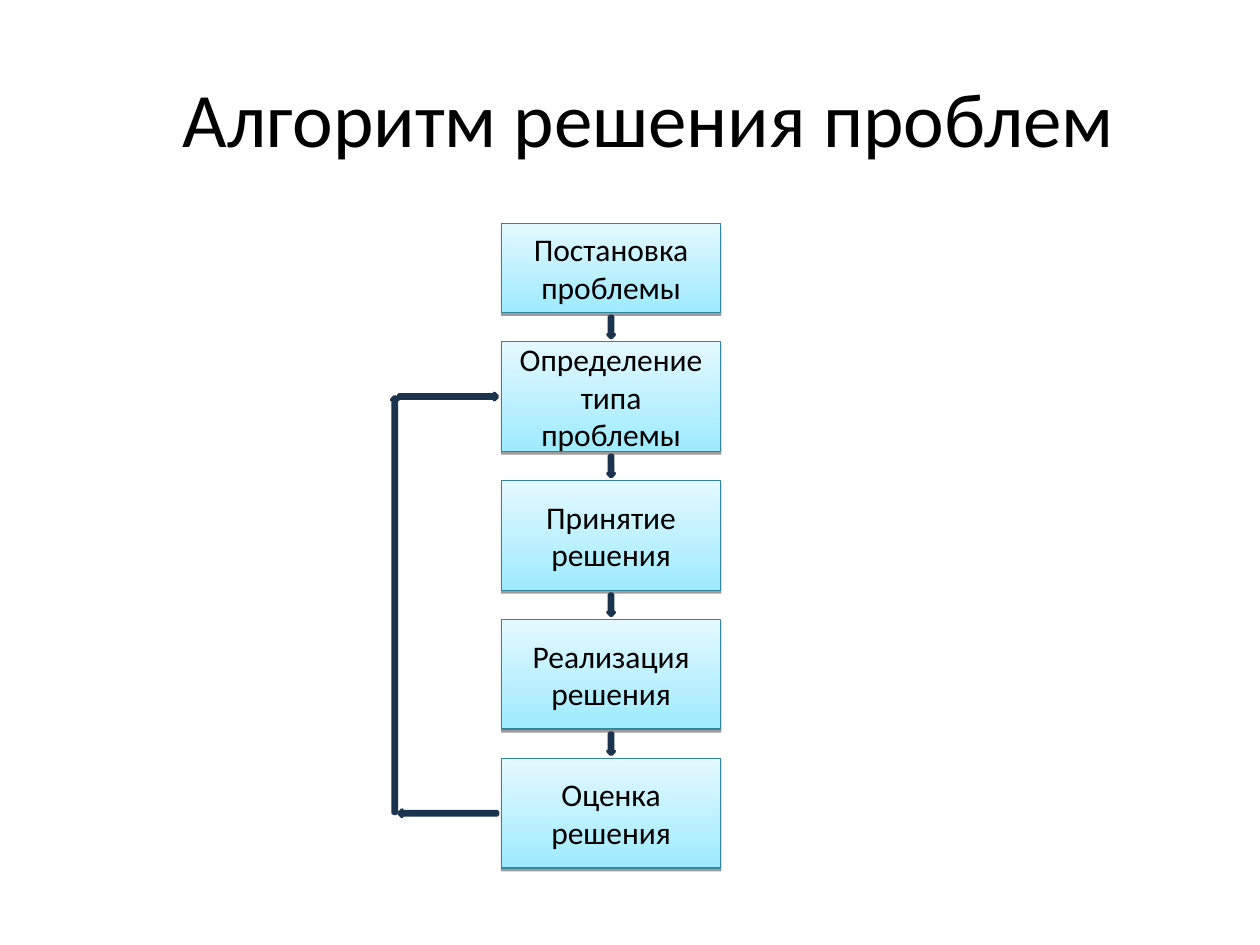
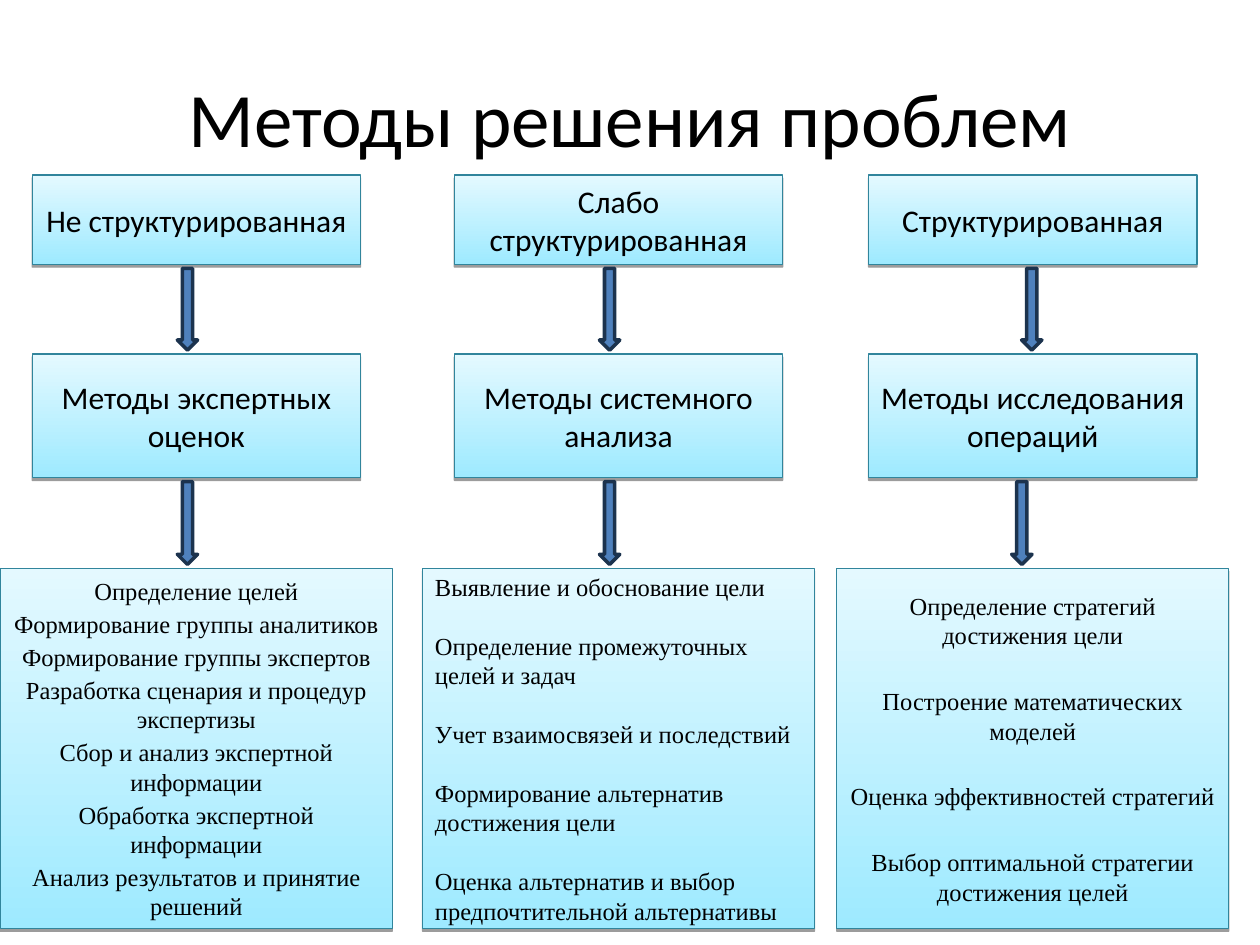
import pptx
import pptx.util
import pptx.dml.color
import pptx.enum.shapes
import pptx.enum.text
import pptx.oxml.ns
from lxml import etree

Cm, Pt = pptx.util.Cm, pptx.util.Pt
RGBColor = pptx.dml.color.RGBColor
Kind = pptx.enum.shapes.MSO_SHAPE
Align = pptx.enum.text.PP_ALIGN
Anchor = pptx.enum.text.MSO_ANCHOR
qn = pptx.oxml.ns.qn

BLACK = RGBColor(0x00, 0x00, 0x00)
PALE = RGBColor(0xE4, 0xF9, 0xFF)
AQUA = RGBColor(0x9E, 0xEA, 0xFF)
TEAL = RGBColor(0x31, 0x85, 0x9C)
BLUE = RGBColor(0x4F, 0x81, 0xBD)
NAVY = RGBColor(0x1C, 0x33, 0x4E)
SANS, SERIF = "Calibri", "Times New Roman"

# Content; all lengths are in centimetres, spacing in points
STAGES = [
    ("Постановка проблемы", 1.8),
    ("Определение типа проблемы", 2.21),
    ("Принятие решения", 2.21),
    ("Реализация решения", 2.21),
    ("Оценка решения", 2.21),
]
COLUMNS = [
    {
        "type": "Не структурированная",
        "method": "Методы экспертных оценок",
        "steps": [
            "Определение целей",
            "Формирование группы аналитиков",
            "Формирование группы экспертов",
            "Разработка сценария и процедур экспертизы",
            "Сбор и анализ экспертной информации",
            "Обработка экспертной информации",
            "Анализ результатов и принятие решений",
        ],
        "align": Align.CENTER, "space": 2, "mid": 3.96, "arrows": (3.78, 3.78),
    },
    {
        "type": "Слабо структурированная",
        "method": "Методы системного анализа",
        "steps": [
            "Выявление и обоснование цели",
            "Определение промежуточных целей и задач",
            "Учет взаимосвязей и последствий",
            "Формирование альтернатив достижения цели",
            "Оценка альтернатив и выбор предпочтительной альтернативы",
        ],
        "align": Align.LEFT, "space": 16.8, "mid": 12.47, "arrows": (12.29, 12.29),
    },
    {
        "type": "Структурированная",
        "method": "Методы исследования операций",
        "steps": [
            "Определение стратегий достижения цели",
            "Построение математических моделей",
            "Оценка эффективностей стратегий",
            "Выбор оптимальной стратегии достижения целей",
        ],
        "align": Align.CENTER, "space": 20.8, "mid": 20.82, "arrows": (20.8, 20.6),
    },
]

STAGE_X, STAGE_W, STAGE_TOP, STAGE_GAP = 10.11, 4.42, 4.5, 0.59
LOOP_X, THIN, WIDE = 7.96, 0.13, 0.41
ROWS = [("type", 3.53, 6.62, 1.8), ("method", 7.14, 6.62, 2.49), ("steps", 11.46, 7.9, 7.26)]
AIR = 0.08  # space left at each end of an arrow


def style(para, font, size, align):
    para.alignment = align
    for run in para.runs:
        run.font.name = font
        run.font.size = Pt(size)
        run.font.color.rgb = BLACK


def add_page(deck, title, width):
    slide = deck.slides.add_slide(deck.slide_layouts[5])
    head = slide.shapes.title
    head.left, head.top, head.width, head.height = Cm(1.27), Cm(0.76), Cm(width), Cm(3.18)
    frame = head.text_frame
    frame.text = title
    frame.vertical_anchor = Anchor.MIDDLE
    style(frame.paragraphs[0], SANS, 44, Align.CENTER)
    return slide


def add_form(slide, kind, x, y, w, h, line, weight):
    form = slide.shapes.add_shape(kind, Cm(x), Cm(y), Cm(w), Cm(h))
    form.line.color.rgb = line
    form.line.width = Pt(weight)
    form.shadow.inherit = False
    return form


def add_shade(form):
    """Put a short, hard shadow below the shape."""
    effects = form._element.spPr.find(qn("a:effectLst"))
    outer = etree.SubElement(effects, qn("a:outerShdw"), blurRad="0", dist=str(Pt(1.6)),
                             dir="5400000", rotWithShape="0")
    color = etree.SubElement(outer, qn("a:srgbClr"), val=str(BLACK))
    etree.SubElement(color, qn("a:alpha"), val="38000")


def add_box(slide, lines, x, y, w, h, font=SANS, size=18, align=Align.CENTER, space=0):
    box = add_form(slide, Kind.RECTANGLE, x, y, w, h, TEAL, 0.75)
    box.fill.gradient()
    box.fill.gradient_angle = 90
    for stop, color in zip(box.fill.gradient_stops, (AQUA, PALE)):
        stop.color.rgb = color
    add_shade(box)
    frame = box.text_frame
    frame.word_wrap = True
    frame.vertical_anchor = Anchor.MIDDLE
    frame.text = "\n".join(lines)
    for i, para in enumerate(frame.paragraphs):
        style(para, font, size, align)
        para.space_before = Pt(space if i else 0)


def add_arrow(slide, kind, x, y, w, h):
    arrow = add_form(slide, kind, x, y, w, h, NAVY, 2)
    arrow.fill.solid()
    arrow.fill.fore_color.rgb = BLUE


def add_drop(slide, mid, top, end, width):
    """Point down from one box to the next."""
    add_arrow(slide, Kind.DOWN_ARROW, mid - width / 2, top + AIR, width, end - top - 2 * AIR)


def draw_stages(deck):
    slide = add_page(deck, "Алгоритм решения проблем", 23.62)
    y, mids = STAGE_TOP, []
    for i, (text, high) in enumerate(STAGES):
        if i:
            add_drop(slide, STAGE_X + STAGE_W / 2, y - STAGE_GAP, y, THIN)
        add_box(slide, [text], STAGE_X, y, STAGE_W, high)
        mids.append(y + high / 2)
        y += high + STAGE_GAP

    first, last = mids[1], mids[-1]
    add_arrow(slide, Kind.UP_ARROW, LOOP_X - THIN / 2, first, THIN, last - first)
    reach = STAGE_X - LOOP_X - 2 * AIR
    for kind, mid in ((Kind.LEFT_ARROW, last), (Kind.RIGHT_ARROW, first)):
        add_arrow(slide, kind, LOOP_X + AIR, mid - THIN / 2, reach, THIN)


def draw_methods(deck):
    slide = add_page(deck, "Методы решения проблем", 22.86)
    for col in COLUMNS:
        for key, y, w, h in ROWS:
            x = col["mid"] - w / 2
            if key == "steps":
                add_box(slide, col[key], x, y, w, h, SERIF, 14, col["align"], col["space"])
            else:
                add_box(slide, [col[key]], x, y, w, h)
        for mid, upper, lower in zip(col["arrows"], ROWS, ROWS[1:]):
            add_drop(slide, mid, upper[1] + upper[3], lower[1], WIDE)


def main():
    deck = pptx.Presentation()
    deck.slide_width, deck.slide_height = Cm(25.4), Cm(19.05)
    draw_stages(deck)
    draw_methods(deck)
    deck.save("out.pptx")


if __name__ == "__main__":
    main()
